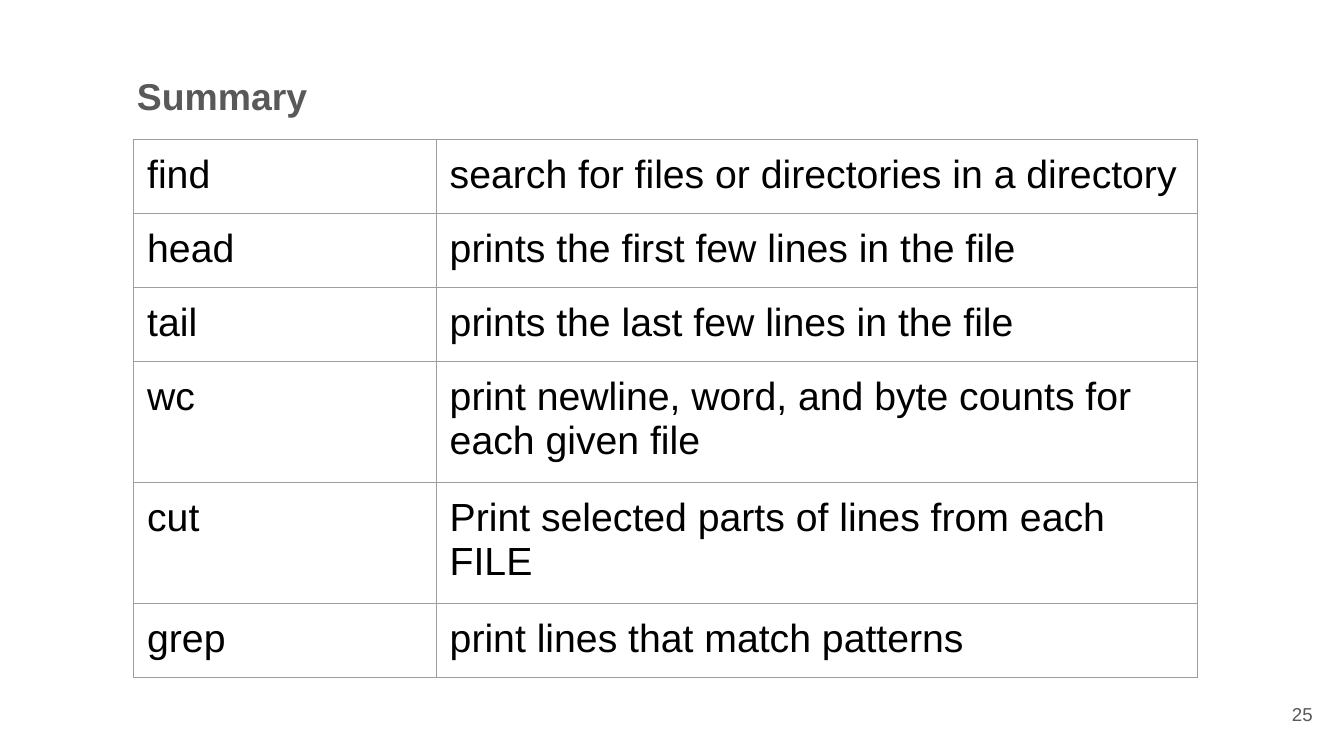
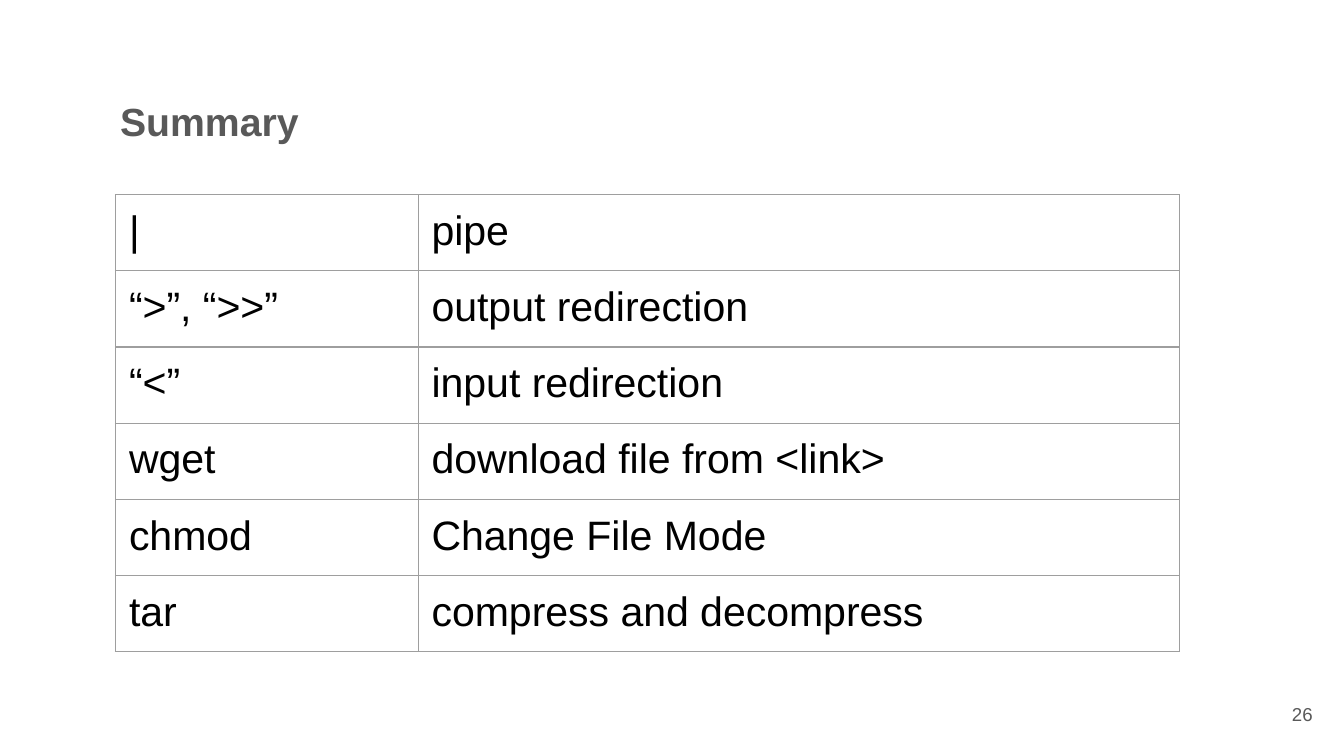
from dataclasses import dataclass

from lxml import etree
from pptx import Presentation
from pptx.dml.color import RGBColor
from pptx.enum.text import MSO_ANCHOR, PP_ALIGN
from pptx.oxml.ns import qn
from pptx.util import Inches, Pt

WIDTH = Inches(10)
HEIGHT = WIDTH * 9 // 16
COLUMN, ROW = WIDTH / 100, HEIGHT / 100
INSET = Inches(0.1)
FONT = "Arial"
GREY = RGBColor(0x59, 0x59, 0x59)
BLACK = RGBColor(0, 0, 0)
BORDER = RGBColor(0x9E, 0x9E, 0x9E)
BORDER_WIDTH = Pt(0.75)
TOP, MIDDLE = MSO_ANCHOR.TOP, MSO_ANCHOR.MIDDLE
LEFT, RIGHT = PP_ALIGN.LEFT, PP_ALIGN.RIGHT
COMMAND_SHARE = 2.25 / 7.91

FILE_COMMANDS = [
    ("find", "search for files or directories in a directory"),
    ("head", "prints the first few lines in the file"),
    ("tail", "prints the last few lines in the file"),
    ("wc", "print newline, word, and byte counts for each given file"),
    ("cut", "Print selected parts of lines from each FILE"),
    ("grep", "print lines that match patterns"),
]
SHELL_COMMANDS = [
    ("|", "pipe"),
    ("“>”, “>>”", "output redirection"),
    ("“<”", "input redirection"),
    ("wget", "download file from <link>"),
    ("chmod", "Change File Mode"),
    ("tar", "compress and decompress"),
]


@dataclass
class Box:
    """A region measured in hundredths of the slide's width and height."""
    left: float
    top: float
    width: float
    height: float

    def place(self):
        """Return left, top, width and height as slide lengths."""
        return (round(self.left * COLUMN), round(self.top * ROW),
                round(self.width * COLUMN), round(self.height * ROW))


NUMBER_BOX = Box(92.65, 90.67, 6, 7.65)


def write(frame, text, size, color=GREY, bold=False, align=LEFT):
    """Write one formatted paragraph into a text frame."""
    para = frame.paragraphs[0]
    para.alignment = align
    span = para.add_run()
    span.text = text
    span.font.name = FONT
    span.font.size = Pt(size)
    span.font.bold = bold
    span.font.color.rgb = color
    etree.SubElement(para._p, qn("a:endParaRPr"), sz=str(size * 100))


def set_margins(holder):
    """Give a text frame or a table cell the shared inset."""
    holder.margin_left = holder.margin_right = INSET
    holder.margin_top = holder.margin_bottom = INSET


def add_label(page, box, text, size, anchor=TOP, **style):
    """Add a text box that fills the given box."""
    frame = page.shapes.add_textbox(*box.place()).text_frame
    set_margins(frame)
    frame.word_wrap = True
    frame.vertical_anchor = anchor
    write(frame, text, size, **style)


def add_borders(cell):
    """Draw a thin grey line on each side of a cell."""
    properties = cell._tc.get_or_add_tcPr()
    for index, side in enumerate(("a:lnL", "a:lnR", "a:lnT", "a:lnB")):
        line = etree.Element(qn(side), w=str(BORDER_WIDTH))
        fill = etree.SubElement(line, qn("a:solidFill"))
        etree.SubElement(fill, qn("a:srgbClr"), val=str(BORDER))
        properties.insert(index, line)


def add_command_table(page, box, commands, size):
    """Add a two-column table of commands and their meanings."""
    table = page.shapes.add_table(len(commands), 2, *box.place()).table
    table.first_row = table.horz_banding = False
    total = box.width * COLUMN
    for column, share in zip(table.columns, (COMMAND_SHARE, 1 - COMMAND_SHARE)):
        column.width = round(total * share)
    for row, texts in zip(table.rows, commands):
        for cell, text in zip(row.cells, texts):
            set_margins(cell)
            cell.fill.background()
            add_borders(cell)
            write(cell.text_frame, text, size, color=BLACK)


def add_summary(deck, number, title_box, title_size, table_box, commands, size):
    """Add a summary slide with a title, a command table and a page number."""
    page = deck.slides.add_slide(deck.slide_layouts[6])
    add_label(page, NUMBER_BOX, str(number), 10, anchor=MIDDLE, align=RIGHT)
    add_label(page, title_box, "Summary", title_size, bold=True)
    add_command_table(page, table_box, commands, size)


def main():
    """Build the deck and save it."""
    deck = Presentation()
    deck.slide_width, deck.slide_height = WIDTH, HEIGHT
    add_summary(deck, 25, Box(9.2, 7.95, 20.4, 9.6), 20,
                Box(9.95, 18.5, 79.15, 44.8), FILE_COMMANDS, 21)
    add_summary(deck, 26, Box(7.95, 11.05, 19.3, 9.96), 21,
                Box(8.6, 25.75, 79.15, 44.8), SHELL_COMMANDS, 22)
    deck.save("out.pptx")


if __name__ == "__main__":
    main()
